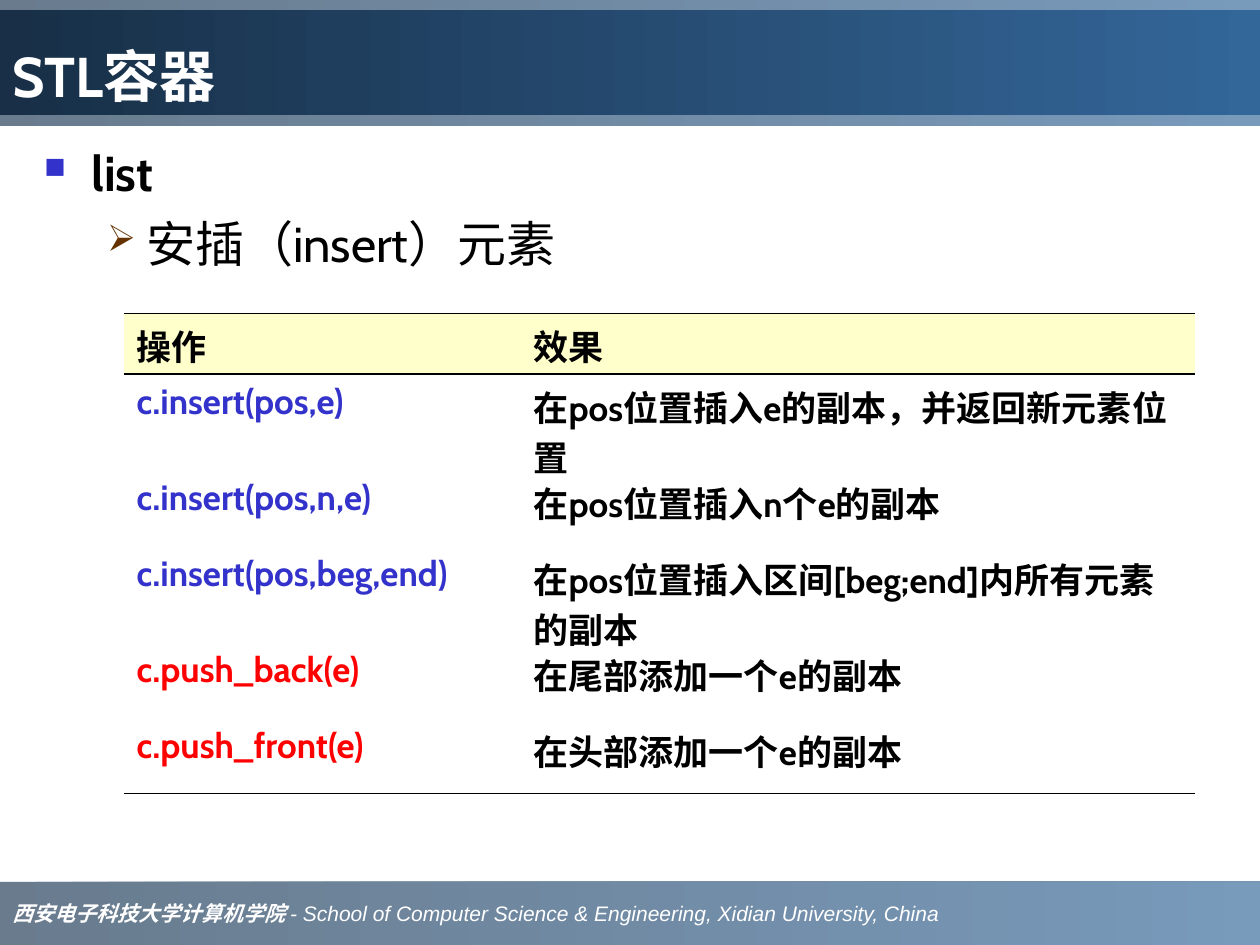
from lxml import etree
from pptx import Presentation
from pptx.dml.color import RGBColor
from pptx.enum.shapes import MSO_SHAPE
from pptx.enum.text import MSO_ANCHOR, PP_ALIGN
from pptx.oxml.ns import qn
from pptx.util import Cm, Pt

RECTANGLE = MSO_SHAPE.RECTANGLE
LEFT = PP_ALIGN.LEFT
MIDDLE, BOTTOM = MSO_ANCHOR.MIDDLE, MSO_ANCHOR.BOTTOM

WHITE = RGBColor(0xFF, 0xFF, 0xFF)
BLACK = RGBColor(0, 0, 0)
NAVY = RGBColor(0x18, 0x2F, 0x47)
BAND_NAVY = RGBColor(0x1C, 0x38, 0x53)
STEEL = RGBColor(0x33, 0x66, 0x99)
BLUE = RGBColor(0x33, 0x33, 0xCC)
RED = RGBColor(0xFF, 0, 0)
BROWN = RGBColor(0x66, 0x33, 0)
CREAM = RGBColor(0xFF, 0xFF, 0xCC)

FONT = "Cabin"
SLIDE_WIDTH, SLIDE_HEIGHT = Cm(25.4), Cm(19.05)
OUTER_LINE, HEADER_LINE = 1.08, 0.75

HEADINGS = ("操作", "效果")
OPERATIONS = [
    ("c.insert(pos,e)", "在pos位置插入e的副本，并返回新元素位置", BLUE),
    ("c.insert(pos,n,e)", "在pos位置插入n个e的副本", BLUE),
    ("c.insert(pos,beg,end)", "在pos位置插入区间[beg;end]内所有元素的副本", BLUE),
    ("c.push_back(e)", "在尾部添加一个e的副本", RED),
    ("c.push_front(e)", "在头部添加一个e的副本", RED),
]
COLUMN_WIDTHS = (Cm(8), Cm(13.59))
ROW_HEIGHTS = (Cm(1.22), Cm(1.7), Cm(1.52), Cm(1.75), Cm(1.52), Cm(1.52))


def add_run(paragraph, text, size, color=BLACK, font=FONT, bold=True, italic=False):
    run = paragraph.add_run()
    run.text = text
    run.font.size = Pt(size)
    run.font.name = font
    run.font.bold = bold
    run.font.italic = italic
    run.font.color.rgb = color


def add_band(slide, top, height, start_color, opacity=100, anchor=MIDDLE):
    """Full-width bar with a left-to-right gradient."""
    shape = slide.shapes.add_shape(RECTANGLE, 0, top, SLIDE_WIDTH, height)
    shape.shadow.inherit = False
    shape.line.fill.background()
    shape.fill.gradient()
    shape.fill.gradient_angle = 0
    for stop, color in zip(shape.fill.gradient_stops, (start_color, STEEL)):
        stop.color.rgb = color
    if opacity < 100:
        for color_element in shape._element.spPr.iter(qn("a:srgbClr")):
            etree.SubElement(color_element, qn("a:alpha"), val=str(opacity * 1000))
    shape.text_frame.vertical_anchor = anchor
    paragraph = shape.text_frame.paragraphs[0]
    paragraph.alignment = LEFT
    return paragraph


def set_bullet(paragraph, character, color, percent, margin, indent):
    properties = paragraph._p.get_or_add_pPr()
    properties.set("marL", str(margin))
    properties.set("indent", str(-indent))
    bullet_color = etree.SubElement(properties, qn("a:buClr"))
    etree.SubElement(bullet_color, qn("a:srgbClr"), val=str(color))
    etree.SubElement(properties, qn("a:buSzPct"), val=str(percent * 1000))
    etree.SubElement(properties, qn("a:buChar"), char=character)


def add_outline(slide):
    box = slide.shapes.add_textbox(Cm(0.64), Cm(2.74), Cm(23.93), Cm(14.81))
    frame = box.text_frame
    frame.word_wrap = True
    topic = frame.paragraphs[0]
    set_bullet(topic, "■", BLUE, 60, Cm(0.95), Cm(0.95))
    add_run(topic, "list", 28)
    subtopic = frame.add_paragraph()
    subtopic.level = 1
    subtopic.space_before = Pt(7)
    set_bullet(subtopic, "➢", BROWN, 75, Cm(2.06), Cm(0.79))
    add_run(subtopic, "安插（insert）元素", 28, bold=False)


def set_borders(cell, top=None, bottom=None):
    """Draw the given top and bottom lines (points) and clear the other sides."""
    properties = cell._tc.get_or_add_tcPr()
    sides = (("a:lnL", None), ("a:lnR", None), ("a:lnT", top), ("a:lnB", bottom))
    for position, (tag, width) in enumerate(sides):
        line = etree.Element(qn(tag), w=str(Pt(width or 0)))
        if width:
            fill = etree.SubElement(line, qn("a:solidFill"))
            etree.SubElement(fill, qn("a:srgbClr"), val=str(BLACK))
        else:
            etree.SubElement(line, qn("a:noFill"))
        properties.insert(position, line)


def fill_cell(cell, text, color=BLACK, background=None, top=None, bottom=None):
    if background is None:
        cell.fill.background()
    else:
        cell.fill.solid()
        cell.fill.fore_color.rgb = background
    set_borders(cell, top, bottom)
    add_run(cell.text_frame.paragraphs[0], text, 20, color)


def add_operations_table(slide):
    table = slide.shapes.add_table(
        len(ROW_HEIGHTS), len(COLUMN_WIDTHS), Cm(2.5), Cm(6.32),
        sum(COLUMN_WIDTHS), sum(ROW_HEIGHTS)).table
    table.first_row = False
    table.horz_banding = False
    for column, width in zip(table.columns, COLUMN_WIDTHS):
        column.width = width
    for row, height in zip(table.rows, ROW_HEIGHTS):
        row.height = height

    # Header row
    for index, heading in enumerate(HEADINGS):
        fill_cell(table.cell(0, index), heading, background=CREAM,
                  top=OUTER_LINE, bottom=HEADER_LINE)

    # Operation rows
    for index, (operation, effect, color) in enumerate(OPERATIONS, start=1):
        top = HEADER_LINE if index == 1 else None
        bottom = OUTER_LINE if index == len(OPERATIONS) else None
        fill_cell(table.cell(index, 0), operation, color, top=top, bottom=bottom)
        fill_cell(table.cell(index, 1), effect, top=top, bottom=bottom)


def main():
    presentation = Presentation()
    presentation.slide_width = SLIDE_WIDTH
    presentation.slide_height = SLIDE_HEIGHT
    slide = presentation.slides.add_slide(presentation.slide_layouts[6])

    # Footer
    footer = add_band(slide, Cm(17.78), Cm(1.27), BAND_NAVY, opacity=66)
    add_run(footer, "西安电子科技大学计算机学院 ", 12, WHITE, "Times New Roman", italic=True)
    add_run(footer, "- School of Computer Science & Engineering, Xidian University, China",
            12, WHITE, "Arial", bold=False, italic=True)

    # Title on its pale backing band
    add_band(slide, 0, Cm(2.54), BAND_NAVY, opacity=66)
    title = add_band(slide, Cm(0.21), Cm(2.11), NAVY, anchor=BOTTOM)
    add_run(title, "STL容器", 32, WHITE)

    # Content
    add_outline(slide)
    add_operations_table(slide)
    presentation.save("out.pptx")


if __name__ == "__main__":
    main()
